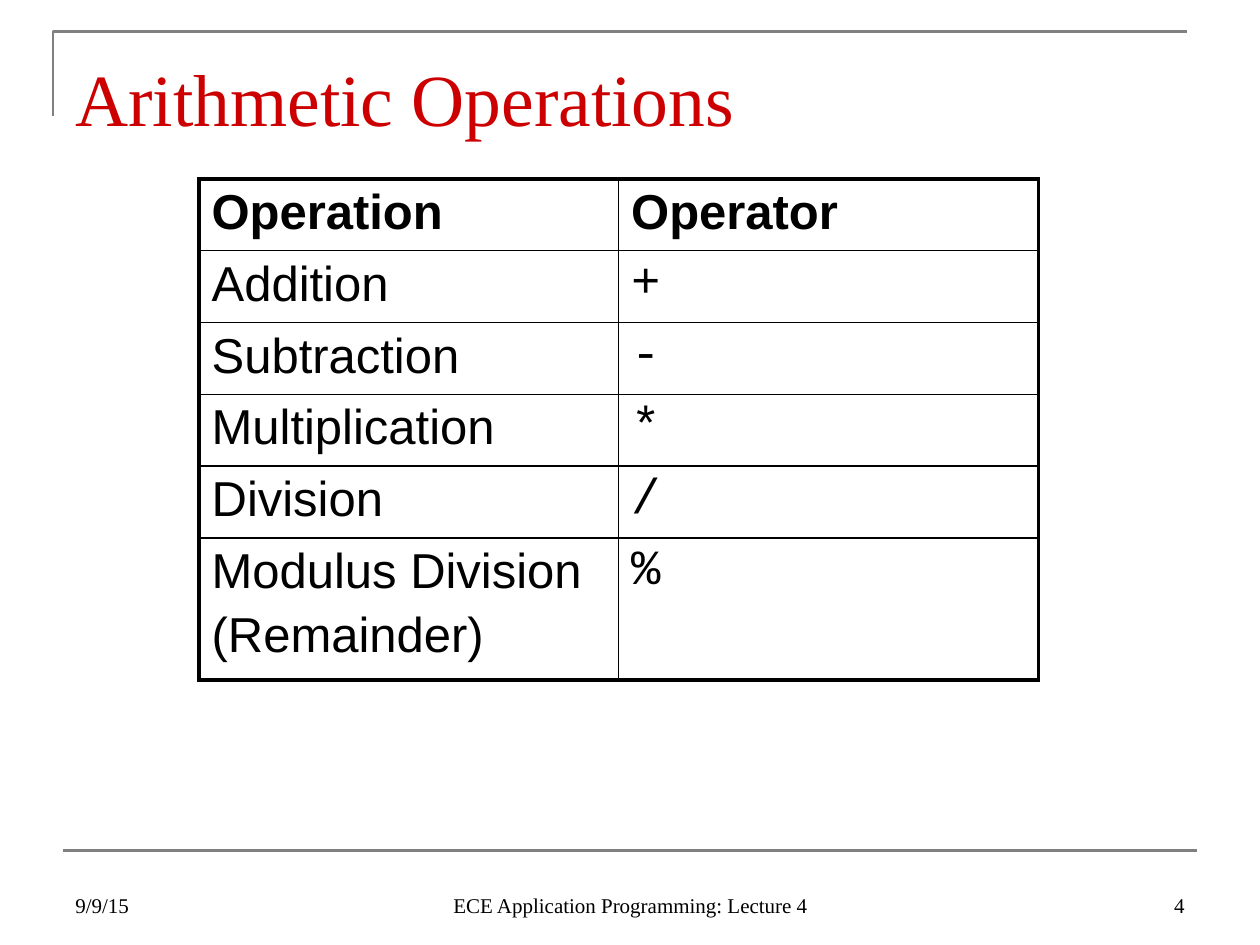
"""Build the arithmetic operations slide with its operator table."""
import pptx
import pptx.util
import pptx.dml.color
import pptx.enum.shapes
import pptx.enum.text
import pptx.oxml
import pptx.oxml.ns

Inches, Pt = pptx.util.Inches, pptx.util.Pt
ALIGN, ANCHOR = pptx.enum.text.PP_ALIGN, pptx.enum.text.MSO_ANCHOR
COLORS = {"rule": "808080", "title": "CC0000", "text": "000000"}
SERIF, SANS, MONO = "Times New Roman", "Arial", "Courier New"


def style(p, size, font, color, bold=False):
    for r in p.runs:
        r.font.size, r.font.name, r.font.bold = Pt(size), font, bold
        r.font.color.rgb = pptx.dml.color.RGBColor.from_string(COLORS[color])


def add_text(s, box, text, size, color, align, anchor):
    sp = s.shapes.add_textbox(*[Inches(v) for v in box])
    tf = sp.text_frame
    tf.word_wrap, tf.vertical_anchor = True, anchor
    tf.text = text
    tf.paragraphs[0].alignment = align
    style(tf.paragraphs[0], size, SERIF, color)
    return sp


prs = pptx.Presentation()
prs.slide_width, prs.slide_height = Inches(10), Inches(7.5)
s = prs.slides.add_slide(prs.slide_layouts[6])

fb = s.shapes.build_freeform(Inches(0.42), Inches(0.92))
fb.add_line_segments([(Inches(0.42), Inches(0.25)), (Inches(9.42), Inches(0.25))], close=False)
corner = fb.convert_to_shape()
corner.shadow.inherit = False
corner.fill.background()
rule = s.shapes.add_connector(pptx.enum.shapes.MSO_CONNECTOR.STRAIGHT,
                              Inches(0.5), Inches(6.75), Inches(9.5), Inches(6.75))
rule.element.spPr.append(pptx.oxml.parse_xml(f"<a:effectLst {pptx.oxml.ns.nsdecls('a')}/>"))
for sp in (corner, rule):
    sp.line.color.rgb = pptx.dml.color.RGBColor.from_string(COLORS["rule"])
    sp.line.width = Pt(1.5)

title = add_text(s, (0.5, 0.3, 9, 0.78), "Arithmetic Operations", 42, "title", ALIGN.LEFT, ANCHOR.TOP)
title.text_frame.margin_top, title.text_frame.margin_bottom = Inches(0.12), 0

rows = [
    ("Operation", "Operator"),
    ("Addition", "+"),
    ("Subtraction", "-"),
    ("Multiplication", "*"),
    ("Division", "/"),
    ("Modulus Division\n(Remainder)", "%"),
]
last = len(rows) - 1
table = s.shapes.add_table(len(rows), 2, Inches(1.58), Inches(1.42), Inches(6.67), Inches(3.96)).table
table.first_row = table.horz_banding = False
for col in table.columns:
    col.width = Inches(3.33)
for i, row in enumerate(rows):
    table.rows[i].height = Inches(1.13 if i == last else 0.57)
    for j, text in enumerate(row):
        cell = table.cell(i, j)
        cell.text_frame.text = text
        for k, p in enumerate(cell.text_frame.paragraphs):
            p.space_before = Pt(5.6 if k else 0)
            style(p, 28, MONO if i and j else SANS, "text", bold=i == 0)
        tcPr = cell._tc.get_or_add_tcPr()
        outer = {"L": j == 0, "R": j == 1, "T": i == 0, "B": i == last}
        for side, is_outer in outer.items():
            tcPr.append(pptx.oxml.parse_xml(
                f'<a:ln{side} {pptx.oxml.ns.nsdecls("a")} w="{Pt(2.25 if is_outer else 1)}">'
                f'<a:solidFill><a:srgbClr val="{COLORS["text"]}"/></a:solidFill></a:ln{side}>'))
        cell.fill.background()

footers = [
    (0.5, 2.33, "9/9/15", ALIGN.LEFT),
    (3.42, 3.17, "ECE Application Programming: Lecture 4", ALIGN.CENTER),
    (7.17, 2.33, "4", ALIGN.RIGHT),
]
for left, width, text, align in footers:
    add_text(s, (left, 6.83, width, 0.5), text, 12, "text", align, ANCHOR.BOTTOM)

prs.save("out.pptx")
